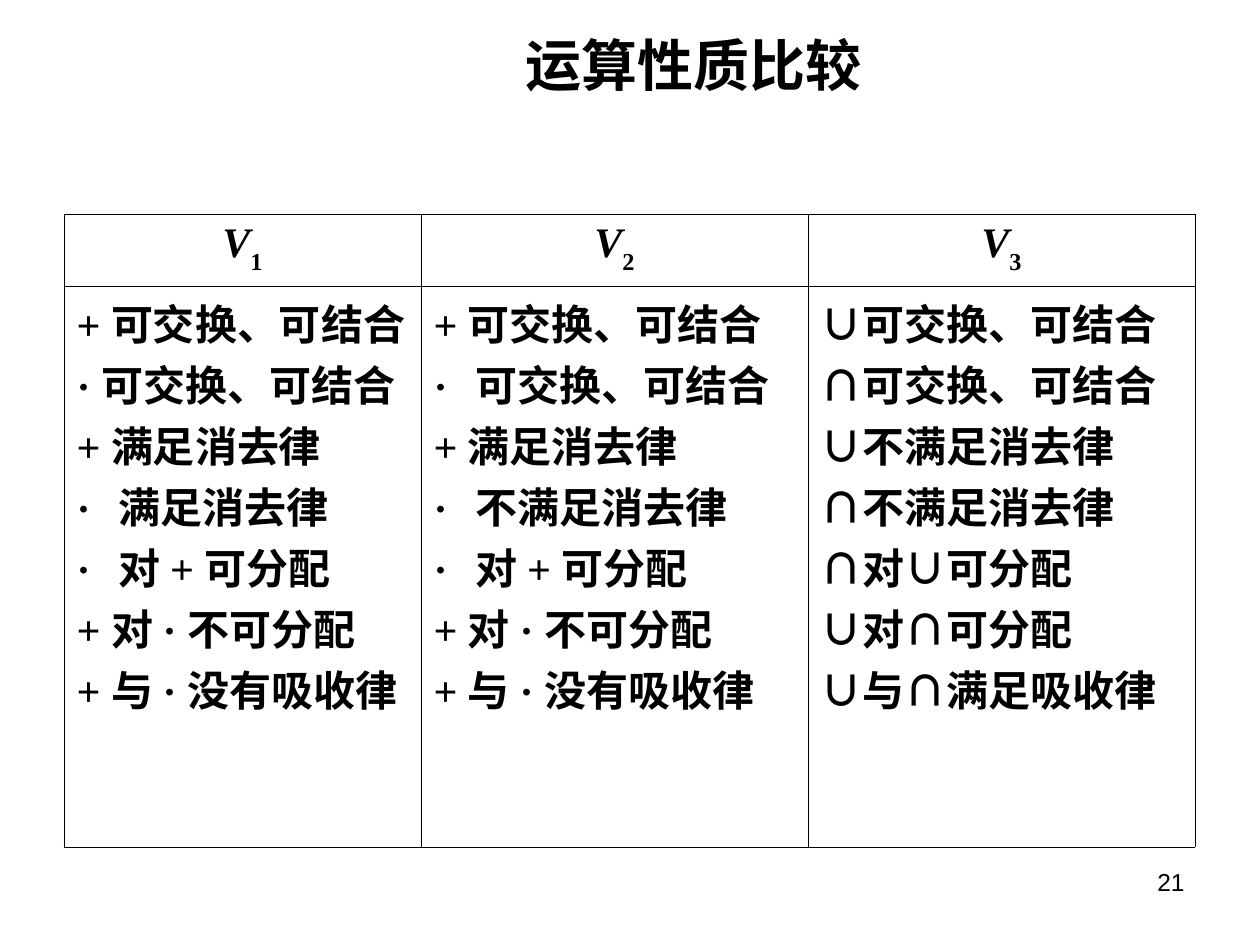
from lxml.etree import SubElement
from pptx import Presentation
from pptx.dml.color import RGBColor
from pptx.enum.text import MSO_ANCHOR as Anchor, PP_ALIGN as Align
from pptx.oxml.ns import qn
from pptx.util import Emu, Pt

COLORS = {"ink": "000000", "paper": "FFFFFF"}
SERIF, SANS = "Times New Roman", "Arial"
PX_PER_INCH = 126

HEADINGS = ["1", "2", "3"]
PROPERTIES = [
    ["+ 可交换、可结合", "· 可交换、可结合", "+ 满足消去律", "·\t满足消去律",
     "·\t对 + 可分配", "+ 对 · 不可分配", "+ 与 · 没有吸收律"],
    ["+ 可交换、可结合", "·\t可交换、可结合", "+ 满足消去律", "·\t不满足消去律",
     "·\t对 + 可分配", "+ 对 · 不可分配", "+ 与 · 没有吸收律"],
    ["∪可交换、可结合", "∩可交换、可结合", "∪不满足消去律", "∩不满足消去律",
     "∩对∪可分配", "∪对∩可分配", "∪与∩满足吸收律"],
]


def px(length):
    return Emu(round(length * 914400 / PX_PER_INCH))


class SlideBuilder:
    def __init__(self, slide):
        self.slide = slide
        background = slide.background.fill
        background.solid()
        background.fore_color.rgb = RGBColor.from_string(COLORS["paper"])

    def run(self, paragraph, text, size, face, bold=False, italic=False, baseline=0):
        run = paragraph.add_run()
        run.text = text
        font = run.font
        font.size, font.name = Pt(size), face
        font.bold, font.italic = bold, italic
        font.color.rgb = RGBColor.from_string(COLORS["ink"])
        if baseline:
            font._element.set("baseline", str(baseline * 1000))

    def text(self, left, top, width, height, words, size, align,
             anchor=Anchor.TOP, bold=False):
        frame = self.slide.shapes.add_textbox(
            px(left), px(top), px(width), px(height)).text_frame
        frame.word_wrap = True
        frame.vertical_anchor = anchor
        paragraph = frame.paragraphs[0]
        paragraph.alignment = align
        self.run(paragraph, words, size, SANS, bold)

    def table(self, left, top, widths, heights):
        grid = self.slide.shapes.add_table(
            len(heights), len(widths), px(left), px(top),
            px(sum(widths)), px(sum(heights))).table
        grid.first_row = grid.horz_banding = False
        for column, width in zip(grid.columns, widths):
            column.width = px(width)
        for row, height in zip(grid.rows, heights):
            row.height = px(height)
        for cell in grid.iter_cells():
            self.frame_cell(cell)
        return grid

    def frame_cell(self, cell):
        properties = cell._tc.get_or_add_tcPr()
        for side in ("a:lnL", "a:lnR", "a:lnT", "a:lnB"):
            border = SubElement(properties, qn(side), w=str(Pt(0.45)))
            fill = SubElement(border, qn("a:solidFill"))
            SubElement(fill, qn("a:srgbClr"), val=COLORS["ink"])
        cell.fill.background()

    def heading(self, cell, index):
        paragraph = cell.text_frame.paragraphs[0]
        paragraph.alignment = Align.CENTER
        self.run(paragraph, "V", 24, SERIF, bold=True, italic=True)
        self.run(paragraph, index, 24, SERIF, bold=True, baseline=-30)

    def lines(self, cell, lines, tab):
        frame = cell.text_frame
        for number, line in enumerate(lines):
            paragraph = frame.add_paragraph() if number else frame.paragraphs[0]
            if "\t" in line:
                stops = SubElement(paragraph._p.get_or_add_pPr(), qn("a:tabLst"))
                SubElement(stops, qn("a:tab"), pos=str(px(tab)), algn="l")
            self.run(paragraph, line, 24, SERIF, bold=True)


def main():
    deck = Presentation()
    deck.slide_width, deck.slide_height = px(1260), px(945)
    page = SlideBuilder(deck.slides.add_slide(deck.slide_layouts[6]))

    # Comparison of the three systems
    comparison = page.table(64, 214, [357, 387, 387], [72, 466])
    for column, (index, lines) in enumerate(zip(HEADINGS, PROPERTIES)):
        page.heading(comparison.cell(0, column), index)
        page.lines(comparison.cell(1, column), lines, tab=42)

    # Title and page number
    page.text(272, 35, 843, 58, "运算性质比较", 32, Align.CENTER, Anchor.MIDDLE, bold=True)
    page.text(903, 861, 294, 66, "21", 14, Align.RIGHT)

    deck.save("out.pptx")


if __name__ == "__main__":
    main()
